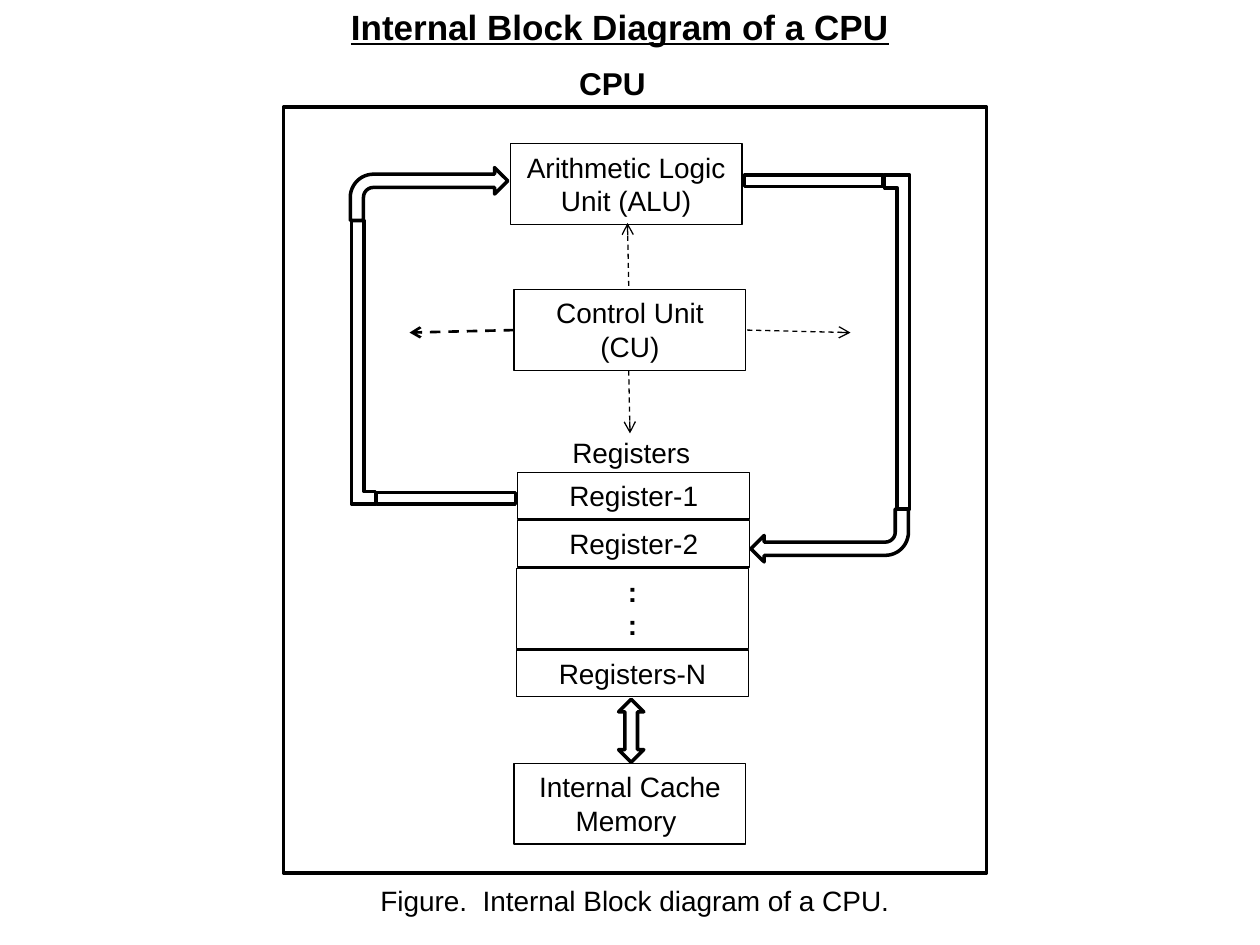
from dataclasses import dataclass

from lxml.etree import SubElement
from pptx import Presentation
from pptx.dml.color import RGBColor
from pptx.enum.dml import MSO_LINE
from pptx.enum.shapes import MSO_CONNECTOR, MSO_SHAPE
from pptx.enum.text import MSO_ANCHOR, MSO_AUTO_SIZE, PP_ALIGN
from pptx.oxml.ns import qn
from pptx.util import Inches, Pt

BLACK = RGBColor(0, 0, 0)
THIN, MEDIUM, THICK = 0.75, 1.5, 2
BLOCK_WIDTH = 1.84
ONE_LINE, TWO_LINES = 0.37, 0.64

Point = tuple[float, float]


@dataclass(frozen=True)
class Block:
    """A text with its place; outlined ones are parts of the CPU."""
    text: str
    left: float
    top: float
    width: float = BLOCK_WIDTH
    height: float = ONE_LINE
    size: int = 16
    bold: bool = False
    underline: bool = False
    outlined: bool = True
    align: PP_ALIGN = PP_ALIGN.CENTER
    anchor: MSO_ANCHOR = MSO_ANCHOR.TOP
    autosize: MSO_AUTO_SIZE = MSO_AUTO_SIZE.SHAPE_TO_FIT_TEXT


@dataclass(frozen=True)
class Signal:
    """A dashed control line with an open arrowhead."""
    start: Point
    end: Point
    weight: float = THIN


@dataclass(frozen=True)
class Arrow:
    """A hollow block arrow."""
    kind: MSO_SHAPE
    left: float
    top: float
    width: float
    height: float
    rotation: float = 0


BLOCKS = [
    Block("Internal Block Diagram of a CPU", 0.67, 0, 8.5, 0.42, size=20, bold=True,
          underline=True, outlined=False, anchor=MSO_ANCHOR.MIDDLE,
          autosize=MSO_AUTO_SIZE.NONE),
    Block("CPU", 3.94, 0.46, height=0.4, size=18, bold=True, outlined=False),
    Block("Control Unit (CU)", 4.08, 2.3, height=TWO_LINES),
    Block("Internal Cache Memory ", 4.08, 6.06, height=TWO_LINES),
    Block("Arithmetic Logic Unit (ALU)", 4.05, 1.14, height=TWO_LINES,
          anchor=MSO_ANCHOR.MIDDLE),
    Block("Figure.  Internal Block diagram of a CPU.", 2.92, 6.96, 4.42,
          outlined=False, align=PP_ALIGN.LEFT),
    Block("Registers", 4.09, 3.41, outlined=False),
    Block("Register-1", 4.11, 3.75),
    Block("Register-2", 4.11, 4.13),
    Block(":\n:", 4.1, 4.51, height=TWO_LINES, bold=True),
    Block("Registers-N", 4.1, 5.16),
]

SIGNALS = [
    Signal((5.93, 2.62), (6.75, 2.64)),
    Signal((4.08, 2.62), (3.25, 2.64), MEDIUM),
    Signal((4.99, 2.27), (4.98, 1.77)),
    Signal((4.99, 2.94), (5, 3.44)),
]

ARROWS = [
    Arrow(MSO_SHAPE.UP_DOWN_ARROW, 4.91, 5.55, 0.2, 0.5),
    Arrow(MSO_SHAPE.BENT_ARROW, 2.78, 1.33, 1.25, 0.42),
    Arrow(MSO_SHAPE.BENT_ARROW, 5.96, 4.04, 1.25, 0.42, rotation=180),
]

# Data bus: a corner and a straight piece on each side
BUS_PIECES: list[list[Point]] = [
    [(2.79, 1.75), (2.89, 1.75), (2.89, 3.9), (2.98, 3.9), (2.98, 4), (2.79, 4)],
    [(2.99, 3.91), (4.09, 3.91), (4.09, 4), (2.99, 4)],
    [(5.91, 1.39), (7.01, 1.39), (7.01, 1.48), (5.91, 1.48)],
    [(7.22, 4.04), (7.12, 4.04), (7.12, 1.49), (7.02, 1.49), (7.02, 1.39), (7.22, 1.39)],
]


def apply(target, formats: dict) -> None:
    for name, value in formats.items():
        setattr(target, name, value)


def outline(shape, weight: float) -> None:
    shape.shadow.inherit = False
    shape.fill.background()
    shape.line.color.rgb = BLACK
    shape.line.width = Pt(weight)


def add_outlined(slide, kind: MSO_SHAPE, place: list, weight: float):
    shape = slide.shapes.add_shape(kind, *place)
    outline(shape, weight)
    return shape


def place_of(item: Block | Arrow) -> list:
    return [Inches(n) for n in (item.left, item.top, item.width, item.height)]


def add_block(slide, block: Block) -> None:
    if block.outlined:
        box = add_outlined(slide, MSO_SHAPE.RECTANGLE, place_of(block), THIN)
    else:
        box = slide.shapes.add_textbox(*place_of(block))
    frame = box.text_frame
    apply(frame, {"word_wrap": True, "auto_size": block.autosize,
                  "vertical_anchor": block.anchor, "text": block.text})
    for para in frame.paragraphs:
        para.alignment = block.align
        for span in para.runs:
            apply(span.font, {"name": "Arial", "size": Pt(block.size),
                              "bold": block.bold, "underline": block.underline})
            span.font.color.rgb = BLACK


def add_signal(slide, signal: Signal) -> None:
    ends = [Inches(n) for n in (*signal.start, *signal.end)]
    connector = slide.shapes.add_connector(MSO_CONNECTOR.STRAIGHT, *ends)
    connector.line.color.rgb = BLACK
    apply(connector.line, {"width": Pt(signal.weight), "dash_style": MSO_LINE.DASH})
    SubElement(connector.line._get_or_add_ln(), qn("a:tailEnd"), type="arrow")
    SubElement(connector._element.spPr, qn("a:effectLst"))


def add_arrow(slide, arrow: Arrow) -> None:
    shape = add_outlined(slide, arrow.kind, place_of(arrow), THICK)
    shape.rotation = arrow.rotation


def add_bus_piece(slide, points: list[Point]) -> None:
    start, *rest = [(Inches(x), Inches(y)) for x, y in points]
    builder = slide.shapes.build_freeform(*start)
    builder.add_line_segments(rest, close=True)
    outline(builder.convert_to_shape(), THICK)


def main() -> None:
    deck = Presentation()
    apply(deck, {"slide_width": Inches(10), "slide_height": Inches(7.5)})
    slide = deck.slides.add_slide(deck.slide_layouts[6])

    # Title, labels and units
    for block in BLOCKS:
        add_block(slide, block)

    # CPU frame
    frame_place = [Inches(n) for n in (2.25, 0.85, 5.58, 6.08)]
    add_outlined(slide, MSO_SHAPE.RECTANGLE, frame_place, THICK)

    # Control signals and data paths
    for signal in SIGNALS:
        add_signal(slide, signal)
    for arrow in ARROWS:
        add_arrow(slide, arrow)
    for points in BUS_PIECES:
        add_bus_piece(slide, points)

    deck.save("out.pptx")


if __name__ == "__main__":
    main()
